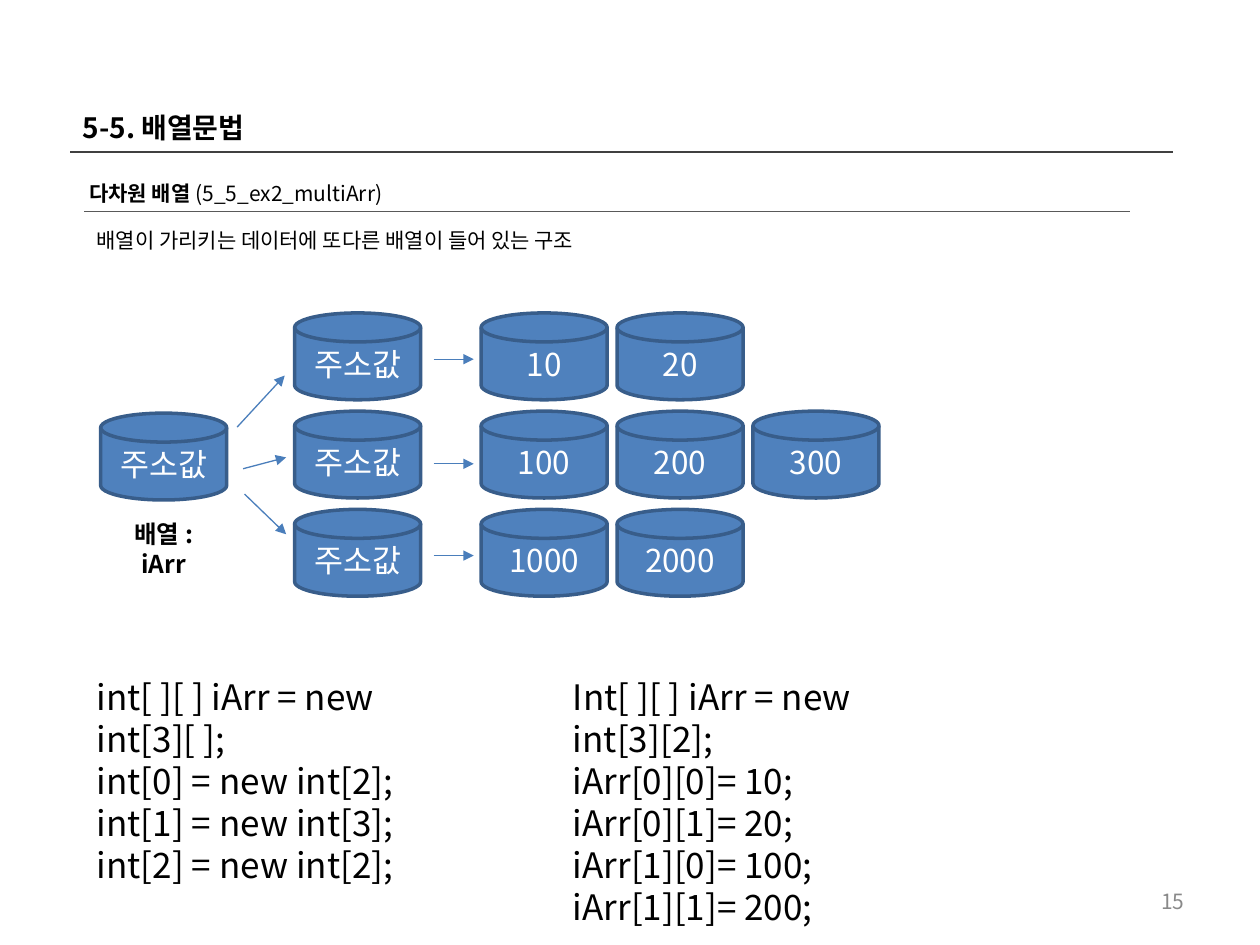
from pptx import Presentation
from pptx.dml.color import RGBColor
from pptx.enum.shapes import MSO_CONNECTOR, MSO_SHAPE
from pptx.enum.text import MSO_ANCHOR, PP_ALIGN
from pptx.oxml.ns import qn
from pptx.util import Cm, Pt
from lxml.etree import SubElement

FONT = "Noto Sans CJK KR"
BLACK, WHITE, GREY = "000000", "FFFFFF", "898989"
DISK_FILL, DISK_EDGE, ARROW = "4F81BD", "385D8A", "4A7EBB"

DISK_WIDTH, DISK_HEIGHT = 2.54, 1.75
ROOT_LEFT, ROOT_TOP = 2.03, 8.33
ADDRESS_LEFT, VALUE_LEFT, VALUE_PITCH = 5.94, 9.7, 2.74
ROW_TOP, ROW_PITCH = 6.31, 1.98

ROWS = [["10", "20"], ["100", "200", "300"], ["1000", "2000"]]
ROOT_ARROWS = [
    (4.78, 8.61, 5.74, 7.57),
    (4.9, 9.45, 5.77, 9.22),
    (4.93, 9.96, 5.77, 10.77),
]
ROW_ARROW_HEIGHTS = [7.24, 9.35, 11.2]

JAGGED_CODE = [
    "int[ ][ ] iArr = new int[3][ ];",
    "int[0] = new int[2];",
    "int[1] = new int[3];",
    "int[2] = new int[2];",
]
FIXED_CODE = [
    "Int[ ][ ] iArr = new int[3][2];",
    "iArr[0][0]= 10;",
    "iArr[0][1]= 20;",
    "iArr[1][0]= 100;",
    "iArr[1][1]= 200;",
]


def color(hex_value):
    return RGBColor.from_string(hex_value)


def style_run(run, size, hex_value, bold=False):
    run.font.name = FONT
    SubElement(run.font._element, qn("a:ea")).set("typeface", FONT)
    run.font.size = Pt(size)
    run.font.bold = bold
    run.font.color.rgb = color(hex_value)


def style_text(frame, size, hex_value, bold=False, align=PP_ALIGN.LEFT):
    frame.word_wrap = True
    for paragraph in frame.paragraphs:
        paragraph.alignment = align
        paragraph.line_spacing = Pt(round(size * 1.2, 1))
        for run in paragraph.runs:
            style_run(run, size, hex_value, bold)


def add_text(slide, lines, left, top, width, height, size,
             hex_value=BLACK, bold=False, align=PP_ALIGN.LEFT):
    box = slide.shapes.add_textbox(Cm(left), Cm(top), Cm(width), Cm(height))
    frame = box.text_frame
    frame.text = "\n".join(lines)
    style_text(frame, size, hex_value, bold, align)
    return frame


def add_disk(slide, label, left, top):
    disk = slide.shapes.add_shape(
        MSO_SHAPE.FLOWCHART_MAGNETIC_DISK,
        Cm(left), Cm(top), Cm(DISK_WIDTH), Cm(DISK_HEIGHT))
    disk.shadow.inherit = False
    disk.fill.solid()
    disk.fill.fore_color.rgb = color(DISK_FILL)
    disk.line.color.rgb = color(DISK_EDGE)
    disk.line.width = Pt(2)
    disk.text_frame.text = label
    disk.text_frame.vertical_anchor = MSO_ANCHOR.MIDDLE
    style_text(disk.text_frame, 18, WHITE, align=PP_ALIGN.CENTER)


def add_line(slide, x1, y1, x2, y2, hex_value, width):
    line = slide.shapes.add_connector(
        MSO_CONNECTOR.STRAIGHT, Cm(x1), Cm(y1), Cm(x2), Cm(y2))
    line.line.color.rgb = color(hex_value)
    line.line.width = Pt(width)
    SubElement(line._element.spPr, qn("a:effectLst"))
    return line


def add_arrow(slide, x1, y1, x2, y2):
    arrow = add_line(slide, x1, y1, x2, y2, ARROW, 0.75)
    SubElement(arrow.line._get_or_add_ln(), qn("a:tailEnd")).set("type", "triangle")


def add_headings(slide):
    add_text(slide, ["5-5. 배열문법"], 1.42, 2.11, 22.25, 0.94, 16, bold=True)
    add_line(slide, 1.42, 3.07, 23.65, 3.07, "404040", 1)

    topic = add_text(slide, ["다차원 배열 "], 1.55, 3.51, 21.23, 0.76, 12, bold=True)
    example = topic.paragraphs[0].add_run()
    example.text = "(5_5_ex2_multiArr)"
    style_run(example, 12, BLACK)
    add_line(slide, 1.7, 4.27, 22.78, 4.27, "595959", 0.5)

    add_text(slide, ["배열이 가리키는 데이터에 또다른 배열이 들어 있는 구조"],
             1.7, 4.47, 21.08, 0.76, 12)


def add_array_diagram(slide):
    add_disk(slide, "주소값", ROOT_LEFT, ROOT_TOP)
    add_text(slide, ["배열 : iArr"], ROOT_LEFT, 10.34, DISK_WIDTH, 1.45, 14,
             bold=True, align=PP_ALIGN.CENTER)
    for row, values in enumerate(ROWS):
        top = ROW_TOP + row * ROW_PITCH
        add_disk(slide, "주소값", ADDRESS_LEFT, top)
        for column, value in enumerate(values):
            add_disk(slide, value, VALUE_LEFT + column * VALUE_PITCH, top)
    for ends in ROOT_ARROWS:
        add_arrow(slide, *ends)
    for height in ROW_ARROW_HEIGHTS:
        add_arrow(slide, 8.74, height, 9.55, height)


def main():
    presentation = Presentation()
    presentation.slide_width = Cm(25.4)
    presentation.slide_height = Cm(19.05)
    slide = presentation.slides.add_slide(presentation.slide_layouts[6])

    add_headings(slide)
    add_array_diagram(slide)
    add_text(slide, JAGGED_CODE, 1.7, 13.49, 7.37, 4.5, 20)
    add_text(slide, FIXED_CODE, 11.3, 13.49, 7.37, 5.5, 20)
    page_number = add_text(slide, ["15"], 18.21, 17.65, 5.92, 1.02, 12, GREY,
                           align=PP_ALIGN.RIGHT)
    page_number.vertical_anchor = MSO_ANCHOR.MIDDLE

    presentation.save("out.pptx")


if __name__ == "__main__":
    main()
